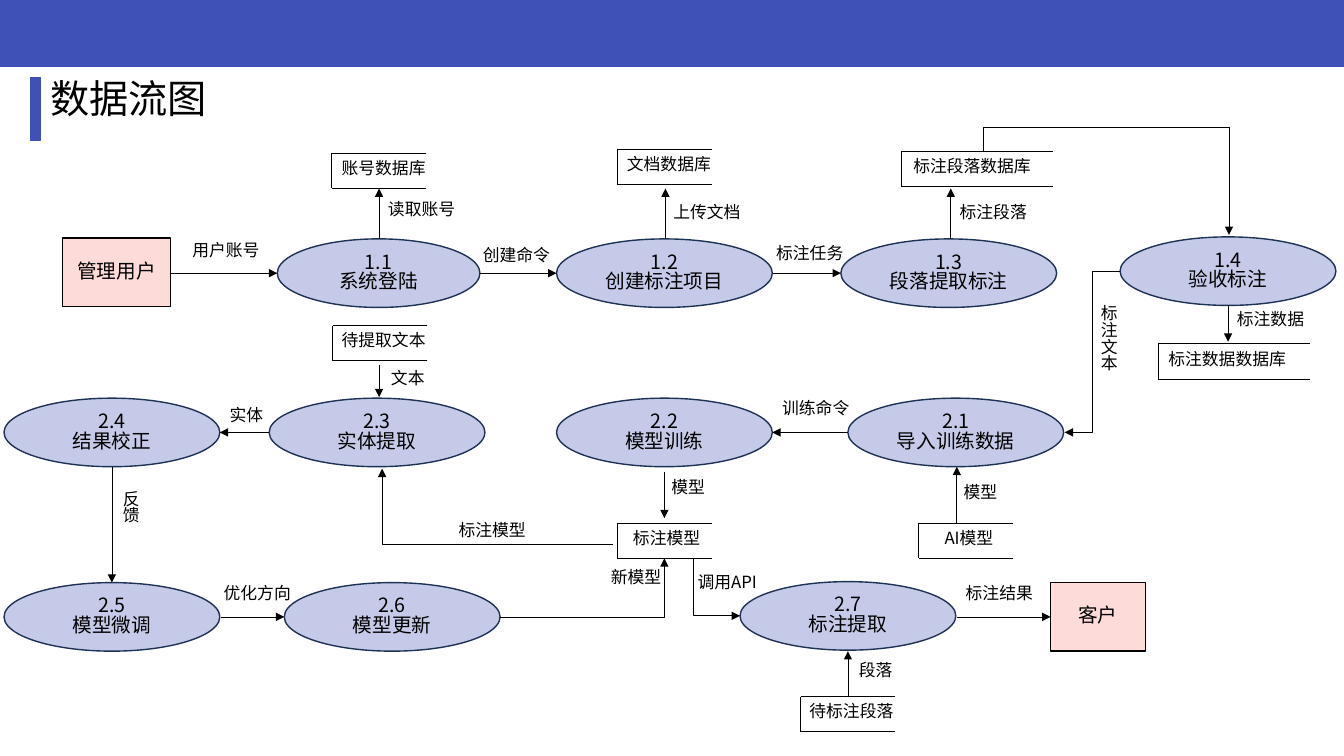
from dataclasses import dataclass

from lxml import etree
from pptx import Presentation
from pptx.dml.color import RGBColor
from pptx.enum.shapes import MSO_CONNECTOR, MSO_SHAPE
from pptx.enum.text import MSO_ANCHOR, PP_ALIGN
from pptx.oxml.ns import qn
from pptx.util import Inches, Pt

RECTANGLE, ELLIPSE = MSO_SHAPE.RECTANGLE, MSO_SHAPE.OVAL
STRAIGHT, ELBOW = MSO_CONNECTOR.STRAIGHT, MSO_CONNECTOR.ELBOW
MIDDLE, CENTER = MSO_ANCHOR.MIDDLE, PP_ALIGN.CENTER

SLIDE_WIDTH, SLIDE_HEIGHT = 13.33, 7.5
NODE_WIDTH, NODE_HEIGHT = 2.14, 0.68
MID = NODE_HEIGHT / 2
STORE_WIDTH, WIDE_STORE, STORE_HEIGHT = 0.94, 1.5, 0.35
LABEL_WIDTH, LABEL_HEIGHT = 0.94, 0.3


@dataclass(frozen=True)
class Theme:
    font: str = "Noto Sans CJK JP"
    ink: str = "000000"
    accent: str = "3F51B6"
    node_line: str = "1E3256"
    entity: str = "F44336"
    title_size: int = 28
    node_size: int = 14
    label_size: int = 12
    line_spacing: float = 0.83
    thin: float = 0.5


THEME = Theme()


def write(shape, lines, size, align=None):
    frame = shape.text_frame
    frame.word_wrap = True
    for index, line in enumerate(lines):
        paragraph = frame.paragraphs[0] if index == 0 else frame.add_paragraph()
        paragraph.alignment = align
        paragraph.line_spacing = THEME.line_spacing
        run = paragraph.add_run()
        run.text = line
        for name, value in {"size": Pt(size), "name": THEME.font}.items():
            setattr(run.font, name, value)
        run.font.color.rgb = RGBColor.from_string(THEME.ink)
        east_asian = etree.SubElement(run.font._element, qn("a:ea"))
        east_asian.set("typeface", THEME.font)


@dataclass
class Region:
    """Places parts, in inches, relative to its own left and top."""
    slide: object
    left: float
    top: float

    def at(self, x, y):
        return Inches(self.left + x), Inches(self.top + y)

    def block(self, kind, x, y, width, height, fill, line, opacity=100):
        shape = self.slide.shapes.add_shape(
            kind, *self.at(x, y), Inches(width), Inches(height))
        shape.shadow.inherit = False
        shape.fill.solid()
        shape.fill.fore_color.rgb = RGBColor.from_string(fill)
        if opacity < 100:
            color = shape._element.spPr.find(".//" + qn("a:srgbClr"))
            etree.SubElement(color, qn("a:alpha")).set("val", str(opacity * 1000))
        shape.line.color.rgb = RGBColor.from_string(line)
        shape.line.width = Pt(1)
        return shape

    def process(self, number, name, x, y=0, width=NODE_WIDTH):
        shape = self.block(ELLIPSE, x, y, width, NODE_HEIGHT,
                           THEME.accent, THEME.node_line, 30)
        shape.text_frame.vertical_anchor = MIDDLE
        write(shape, [number, name], THEME.node_size, CENTER)

    def entity(self, name, x, y, width):
        shape = self.block(RECTANGLE, x, y, width, NODE_HEIGHT,
                           THEME.entity, THEME.ink, 19)
        shape.text_frame.vertical_anchor = MIDDLE
        write(shape, [name], THEME.node_size, CENTER)

    def text(self, words, x, y, width=LABEL_WIDTH, height=LABEL_HEIGHT,
             size=THEME.label_size):
        box = self.slide.shapes.add_textbox(
            *self.at(x, y), Inches(width), Inches(height))
        write(box, [words], size)

    def line(self, start, end, kind=STRAIGHT, arrow=None):
        """Draws a connector; arrow is None, "headEnd" or "tailEnd"."""
        connector = self.slide.shapes.add_connector(
            kind, *self.at(*start), *self.at(*end))
        connector.line.color.rgb = RGBColor.from_string(THEME.ink)
        connector.line.width = Pt(THEME.thin)
        properties = connector._element.spPr
        if arrow:
            outline = properties.find(qn("a:ln"))
            etree.SubElement(outline, qn("a:" + arrow)).set("type", "triangle")
        etree.SubElement(properties, qn("a:effectLst"))
        return connector

    def arrow(self, start, end):
        self.line(start, end, arrow="tailEnd")

    def corner(self, start, end, arrow="tailEnd"):
        """Draws one bend: first across, then up or down."""
        connector = self.line(start, end, ELBOW, arrow)
        geometry = connector._element.spPr.find(qn("a:prstGeom"))
        geometry.set("prst", "bentConnector2")

    def store(self, name, x, y, width=STORE_WIDTH, indent=0.0):
        """Draws a data store, open on its right side."""
        bottom, right = y + STORE_HEIGHT, x + width
        self.line((x, y), (x, bottom))
        for edge in (y, bottom):
            self.line((right, edge), (x, edge))
        self.text(name, x + indent, y + 0.03, 1.4)


def draw_header(region):
    region.block(RECTANGLE, 0, -0.01, SLIDE_WIDTH, 0.67, THEME.accent, THEME.accent)
    region.block(RECTANGLE, 0.3, 0.77, 0.1, 0.62, THEME.accent, THEME.accent)
    region.text("数据流图", 0.4, 0.77, 3.49, 0.57, THEME.title_size)


def draw_labelling(region):
    region.entity("管理用户", 0.62, -0.01, 1.07)
    region.process("1.1", "系统登陆", 2.75, width=2.01)
    region.process("1.2", "创建标注项目", 5.52)
    region.process("1.3", "段落提取标注", 8.34)
    region.process("1.4", "验收标注", 11.11, -0.02)
    region.store("账号数据库", 3.29, -0.85)
    region.store("文档数据库", 6.12, -0.89)
    region.store("标注段落数据库", 8.94, -0.87, WIDE_STORE, 0.02)
    region.store("标注数据数据库", 11.49, 1.04, WIDE_STORE)
    for start, end in ((1.69, 2.75), (4.76, 5.52), (7.67, 8.34)):
        region.arrow((start, MID), (end, MID))
    for x in (3.76, 6.6, 9.43):
        region.arrow((x, 0), (x, -0.5))
    region.arrow((12.18, 0.66), (12.18, 1.02))
    for words, x, y in (("用户账号", 1.81, -0.01), ("读取账号", 3.75, -0.41),
                        ("创建命令", 4.69, 0.04), ("上传文档", 6.58, -0.38),
                        ("标注任务", 7.6, 0.02), ("标注段落", 9.42, -0.38),
                        ("标注数据", 12.17, 0.68)):
        region.text(words, x, y)

    # Turned a quarter so the line leaves the store upwards and goes over it.
    over = region.line((11.38, -1.67), (10.56, 0.77), ELBOW, "tailEnd")
    properties = over._element.spPr
    properties.find(qn("a:xfrm")).set("rot", str(270 * 60000))
    geometry = properties.find(qn("a:prstGeom"))
    values = geometry.find(qn("a:avLst"))
    if values is None:
        values = etree.SubElement(geometry, qn("a:avLst"))
    guide = etree.SubElement(values, qn("a:gd"))
    guide.set("name", "adj1")
    guide.set("fmla", "val -30400")

    region.line((11.11, 0.32), (10.56, 1.92), ELBOW, "tailEnd")
    region.text("标注文本", 10.82, 0.62, 0.3, 1.01)


def draw_training(region):
    for number, name, x in (("2.1", "导入训练数据", 8.41), ("2.2", "模型训练", 5.52),
                            ("2.3", "实体提取", 2.67), ("2.4", "结果校正", 0.04)):
        region.process(number, name, x)
    region.store("待提取文本", 3.3, -0.72, indent=-0.01)
    region.store("标注模型", 6.12, 1.24, indent=0.06)
    region.store("AI模型", 9.11, 1.24, indent=0.16)
    for start, end in ((8.41, 7.66), (2.67, 2.18)):
        region.arrow((start, MID), (end, MID))
    for x, start, end in ((9.49, 1.24, 0.68), (6.59, 0.73, 1.19),
                          (3.76, -0.33, -0.01), (1.11, 0.68, 1.83)):
        region.arrow((x, start), (x, end))
    region.corner((6.08, 1.45), (3.79, 0.7))
    for words, x, y in (("训练命令", 7.66, -0.02), ("模型", 9.46, 0.81),
                        ("模型", 6.56, 0.76), ("文本", 3.78, -0.32),
                        ("标注模型", 4.45, 1.19), ("实体", 2.18, 0.05)):
        region.text(words, x, y)
    region.text("反馈", 1.12, 0.88, 0.3, 0.61)


def draw_tuning(region):
    region.process("2.5", "模型微调", 0.04)
    region.process("2.6", "模型更新", 2.82)
    region.process("2.7", "标注提取", 7.34, -0.01)
    region.entity("客户", 10.42, 0, 0.94)
    region.store("待标注段落", 7.94, 1.13, indent=-0.01)
    for start, end in ((2.19, 2.82), (9.49, 10.42)):
        region.arrow((start, MID), (end, MID))
    region.arrow((8.41, 1.13), (8.41, 0.68))
    region.corner((4.96, MID), (6.59, -0.24))
    region.corner((7.34, 0.33), (6.88, -0.24), "headEnd")
    for words, x, y in (("优化方向", 2.12, -0.01), ("新模型", 5.96, -0.17),
                        ("调用API", 6.82, -0.12), ("标注结果", 9.48, -0.01),
                        ("段落", 8.42, 0.75)):
        region.text(words, x, y)


def main():
    presentation = Presentation()
    presentation.slide_width = Inches(SLIDE_WIDTH)
    presentation.slide_height = Inches(SLIDE_HEIGHT)
    slide = presentation.slides.add_slide(presentation.slide_layouts[6])
    for draw, top in ((draw_header, 0), (draw_labelling, 2.37),
                      (draw_training, 3.95), (draw_tuning, 5.78)):
        draw(Region(slide, 0, top))
    presentation.save("out.pptx")


if __name__ == "__main__":
    main()
